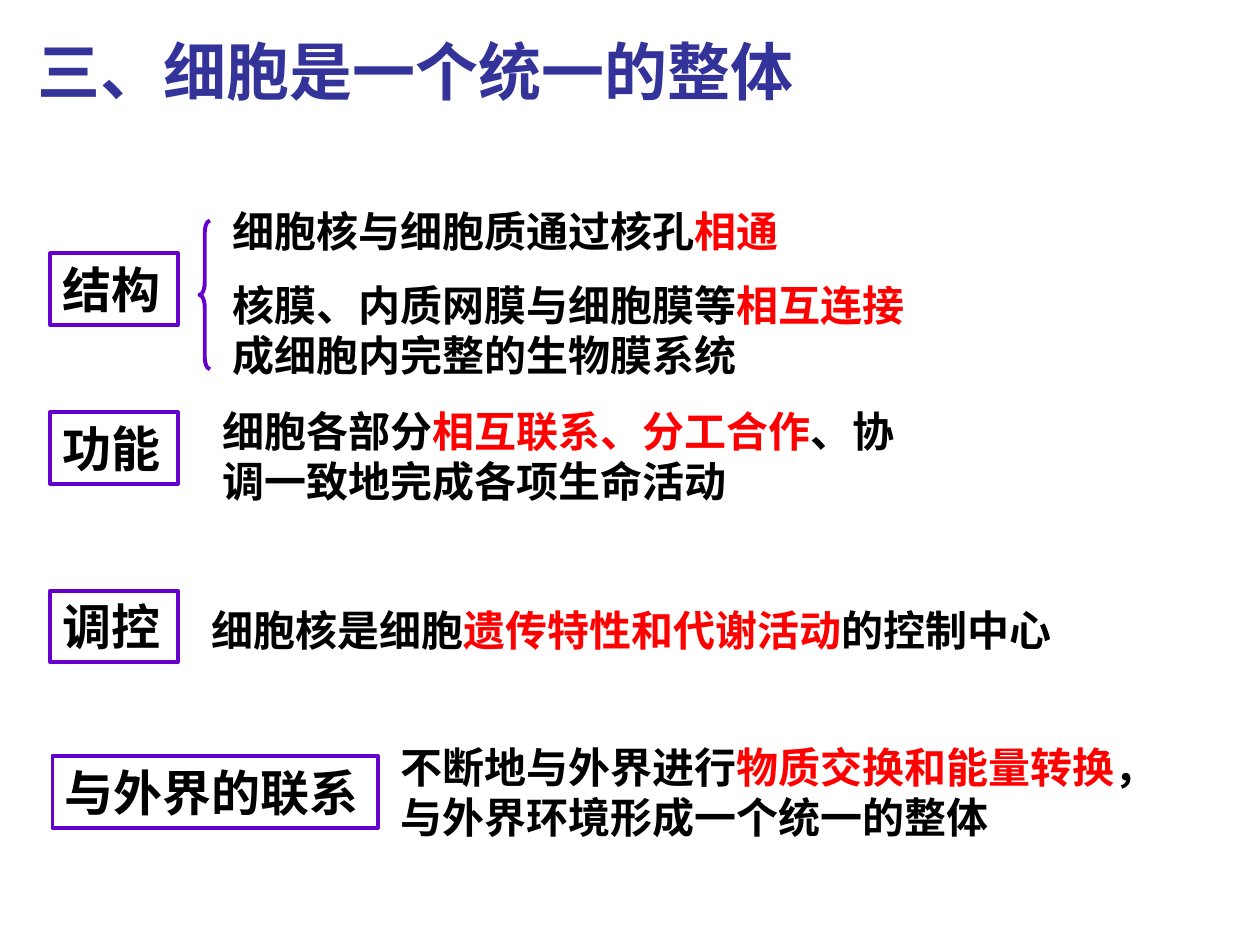
from pptx import Presentation
from pptx.dml.color import RGBColor
from pptx.enum.shapes import MSO_SHAPE
from pptx.enum.text import MSO_ANCHOR, PP_ALIGN
from pptx.util import Pt

BLACK, RED, BLUE, PURPLE = "000000", "FF0000", "333399", "6600CC"

LABELS = [
    ("结构", 28.8, 144.8, 72.7),
    ("功能", 28.8, 235.5, 72.7),
    ("调控", 28.8, 337.5, 72.7),
    ("与外界的联系", 30, 432, 185.8),
]

# Left, top, width, height, then runs that alternate black and red
NOTES = [
    (126, 114, 336, 36, ["细胞核与细胞质通过核孔", "相通"]),
    (126, 156, 408, 65,
     ["核膜、内质网膜与细胞膜等", "相互连接", "成细胞内完整的生物膜系统"]),
    (120, 228, 420, 65,
     ["细胞各部分", "相互联系、分工合作", "、协调一致地完成各项生命活动"]),
    (114, 342, 587, 36, ["细胞核是细胞", "遗传特性和代谢活动", "的控制中心"]),
    (222, 420, 468, 65,
     ["不断地与外界进行", "物质交换和能量转换", "，与外界环境形成一个统一的整体"]),
]


def color(code):
    return RGBColor.from_string(code)


def write(shape, parts, size, hues):
    frame = shape.text_frame
    frame.word_wrap = True
    para = frame.paragraphs[0]
    para.alignment = PP_ALIGN.LEFT
    for i, part in enumerate(parts):
        run = para.add_run()
        run.text = part
        font = run.font
        font.name, font.size, font.bold = "Arial", Pt(size), True
        font.color.rgb = color(hues[i % len(hues)])


def add_text(slide, box, parts, size, hues):
    shape = slide.shapes.add_textbox(*map(Pt, box))
    write(shape, parts, size, hues)
    return shape


def add_outline(slide, kind, box):
    """Add an unfilled preset shape with a purple line."""
    shape = slide.shapes.add_shape(kind, *map(Pt, box))
    shape.shadow.inherit = False
    shape.fill.background()
    shape.line.color.rgb = color(PURPLE)
    shape.line.width = Pt(2.25)
    return shape


def add_label(slide, text, left, top, width):
    shape = add_outline(slide, MSO_SHAPE.RECTANGLE, (left, top, width, 41))
    shape.text_frame.vertical_anchor = MSO_ANCHOR.TOP
    write(shape, [text], 28, [BLACK])


def add_brace(slide):
    brace = add_outline(slide, MSO_SHAPE.LEFT_BRACE, (114, 126, 6, 85))
    brace.adjustments[0] = 1.18


def main():
    deck = Presentation()
    deck.slide_width, deck.slide_height = Pt(720), Pt(540)
    slide = deck.slides.add_slide(deck.slide_layouts[6])
    title = add_text(slide, (14.4, 15, 648, 50),
                     ["三、细胞是一个统一的整体"], 36, [BLUE])
    title.text_frame.vertical_anchor = MSO_ANCHOR.MIDDLE
    for label in LABELS:
        add_label(slide, *label)
    for *box, parts in NOTES:
        add_text(slide, box, parts, 24, [BLACK, RED])
    add_brace(slide)
    deck.save("out.pptx")


if __name__ == "__main__":
    main()
